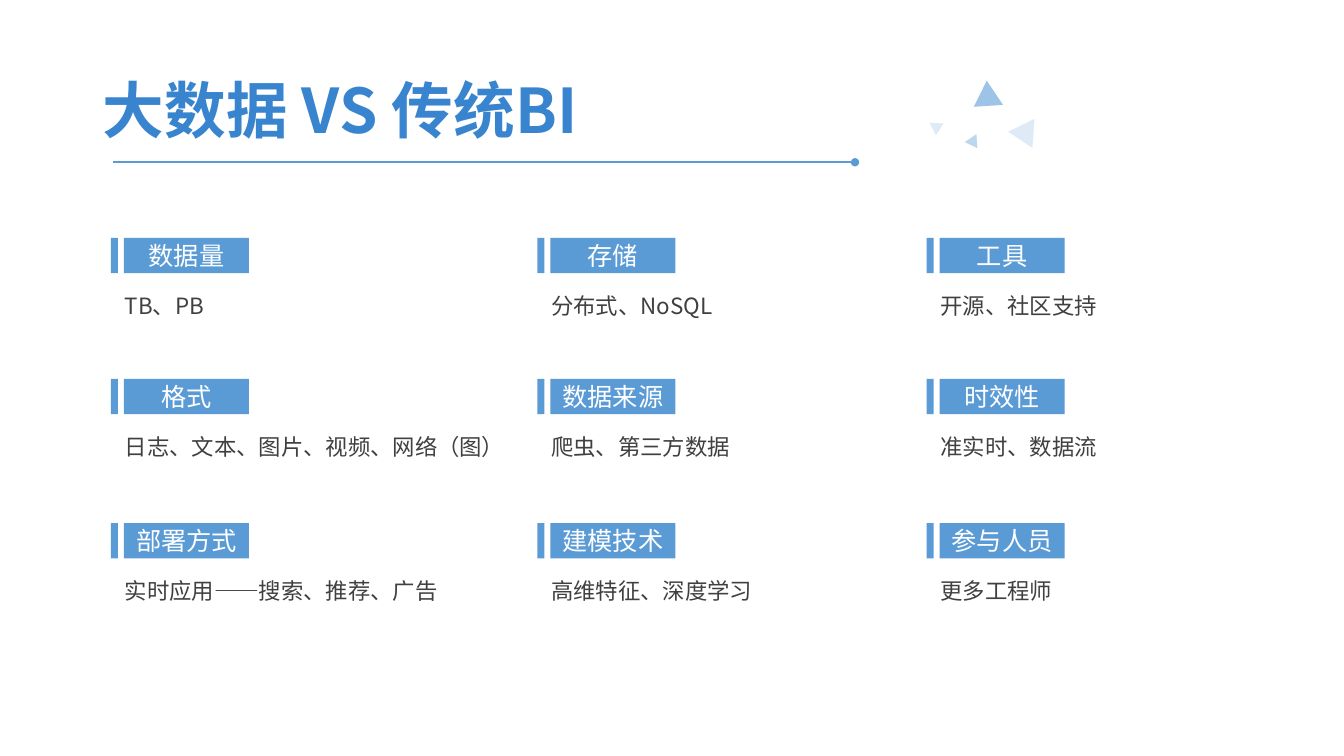
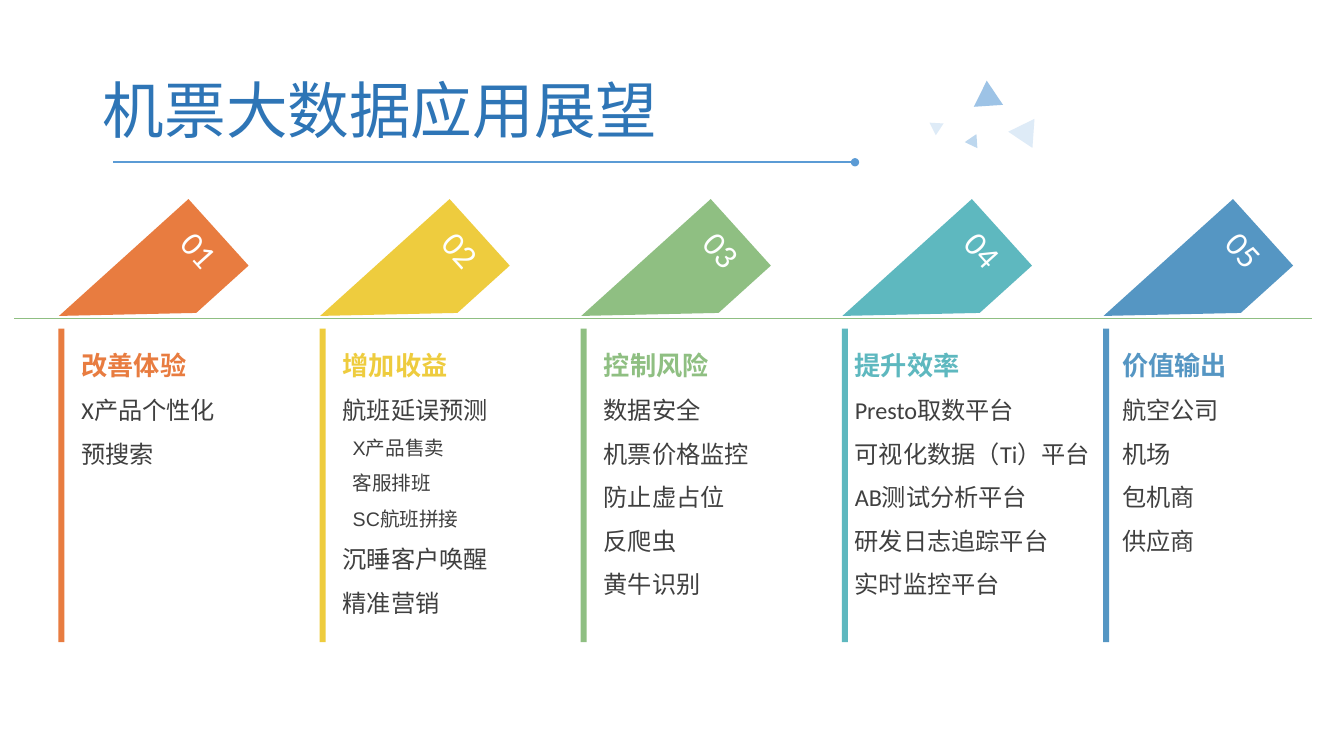
from lxml.etree import SubElement
from pptx import Presentation
from pptx.dml.color import RGBColor
from pptx.enum.shapes import MSO_CONNECTOR, MSO_SHAPE
from pptx.enum.text import MSO_ANCHOR, MSO_AUTO_SIZE, PP_ALIGN
from pptx.oxml.ns import qn
from pptx.util import Inches, Pt

SLIDE_W, SLIDE_H = 13.33, 7.5
HAN_FONT, LATIN_FONT = "Noto Sans CJK SC", "Calibri"
BLUE, INK, WHITE = "5B9BD5", "404040", "FFFFFF"
RULE_GREEN = "8FBF82"

# Decorative triangles: left, top, width, height, rotation, colour
TRIANGLES = [
    (10.04, 1.23, 0.29, 0.25, 153.9, "DEEBF7"),
    (9.65, 0.8, 0.29, 0.25, 356.2, "9DC3E6"),
    (9.2, 1.19, 0.14, 0.12, 303.5, "DEEBF7"),
    (9.59, 1.36, 0.14, 0.12, 145.8, "BDD7EE"),
]

# Comparison grid: column left and width, row tops, topics row by row
COLUMNS = [(1.1, 4.14), (5.33, 3.4), (9.19, 3.4)]
ROWS = [2.36, 3.76, 5.19]
TOPICS = [
    [("数据量", "TB、PB"), ("存储", "分布式、NoSQL"), ("工具", "开源、社区支持")],
    [("格式", "日志、文本、图片、视频、网络（图）"), ("数据来源", "爬虫、第三方数据"),
     ("时效性", "准实时、数据流")],
    [("部署方式", "实时应用——搜索、推荐、广告"), ("建模技术", "高维特征、深度学习"),
     ("参与人员", "更多工程师")],
]

# Outlook pillars: colour, text offset, text width, body font, heading,
# items as (level, text)
PILLAR_LEFT, PILLAR_PITCH, PILLAR_TOP, PILLAR_H = 0.58, 2.59, 3.26, 3.11
PILLARS = [
    ("E87C40", 0.13, 2.11, LATIN_FONT, "改善体验", [(0, "X产品个性化"), (0, "预搜索")]),
    ("EECC3E", 0.13, 2.11, "Arial", "增加收益",
     [(0, "航班延误预测"), (1, "X产品售卖"), (1, "客服排班"), (1, "SC航班拼接"),
      (0, "沉睡客户唤醒"), (0, "精准营销")]),
    (RULE_GREEN, 0.13, 2.11, LATIN_FONT, "控制风险",
     [(0, "数据安全"), (0, "机票价格监控"), (0, "防止虚占位"), (0, "反爬虫"),
      (0, "黄牛识别")]),
    ("5EB8BF", 0.03, 2.76, LATIN_FONT, "提升效率",
     [(0, "Presto取数平台"), (0, "可视化数据（Ti）平台"), (0, "AB测试分析平台"),
      (0, "研发日志追踪平台"), (0, "实时监控平台")]),
    ("5596C3", 0.09, 2.11, LATIN_FONT, "价值输出",
     [(0, "航空公司"), (0, "机场"), (0, "包机商"), (0, "供应商")]),
]
FLAG_OUTLINE = [(0, 0), (0.89, 0), (0.89, 0.7), (0, 1.73)]


def rgb(hex_colour):
    return RGBColor.from_string(hex_colour)


def inches(*lengths):
    return [Inches(length) for length in lengths]


def add_run(paragraph, text, size, colour, font=HAN_FONT, bold=False):
    run = paragraph.add_run()
    run.text = text
    run.font.size, run.font.bold, run.font.name = Pt(size), bold, font
    run.font.color.rgb = rgb(colour)
    SubElement(run.font._element, qn("a:ea"), typeface=HAN_FONT)


def paint(shape, colour):
    shape.shadow.inherit = False
    shape.fill.solid()
    shape.fill.fore_color.rgb = rgb(colour)
    shape.line.fill.background()
    return shape


def add_block(slide, kind, box, colour):
    return paint(slide.shapes.add_shape(kind, *inches(*box)), colour)


def add_text_frame(slide, box):
    frame = slide.shapes.add_textbox(*inches(*box)).text_frame
    frame.word_wrap = True
    return frame


def add_rule(slide, start, end, y, colour, width, dot=False):
    rule = slide.shapes.add_connector(MSO_CONNECTOR.STRAIGHT, *inches(start, y, end, y))
    rule.line.color.rgb = rgb(colour)
    rule.line.width = Pt(width)
    if dot:
        SubElement(rule.line._get_or_add_ln(), qn("a:headEnd"), type="oval")
    SubElement(rule._element.spPr, qn("a:effectLst"))


def add_titled_slide(deck, title, colour, bold=False):
    """Slide with the shared title, underline and triangles."""
    slide = deck.slides.add_slide(deck.slide_layouts[5])
    add_rule(slide, 8.48, 1.12, 1.61, BLUE, 1.5, dot=True)
    for *box, rotation, tint in TRIANGLES:
        add_block(slide, MSO_SHAPE.ISOSCELES_TRIANGLE, box, tint).rotation = rotation
    heading = slide.shapes.title
    heading.left, heading.top, heading.width, heading.height = inches(0.92, 0.4, 11.5, 1.45)
    frame = heading.text_frame
    frame.auto_size, frame.vertical_anchor = MSO_AUTO_SIZE.NONE, MSO_ANCHOR.MIDDLE
    paragraph = frame.paragraphs[0]
    paragraph.alignment, paragraph.line_spacing = PP_ALIGN.LEFT, 0.9
    add_run(paragraph, title, 44, colour, bold=bold)
    return slide


def add_topic(slide, left, top, width, label, detail):
    """Accent bar, filled label and a line of detail below."""
    add_block(slide, MSO_SHAPE.RECTANGLE, (left, top, 0.07, 0.35), BLUE)
    tag = add_block(slide, MSO_SHAPE.RECTANGLE, (left + 0.13, top, 1.24, 0.35), BLUE)
    frame = tag.text_frame
    frame.margin_left = frame.margin_right = frame.margin_top = frame.margin_bottom = 0
    frame.vertical_anchor = MSO_ANCHOR.MIDDLE
    frame.paragraphs[0].alignment = PP_ALIGN.CENTER
    add_run(frame.paragraphs[0], label, 18, WHITE)
    detail_frame = add_text_frame(slide, (left + 0.04, top + 0.49, width, 0.76))
    add_run(detail_frame.paragraphs[0], detail, 16, INK)


def add_flag(slide, left, top, number, colour):
    """Tilted, numbered flag above a pillar."""
    corners = [tuple(inches(left + x, top + y)) for x, y in FLAG_OUTLINE]
    builder = slide.shapes.build_freeform(*corners[0])
    builder.add_line_segments(corners[1:], close=True)
    flag = paint(builder.convert_to_shape(), colour)
    flag.rotation = 47.9
    frame = flag.text_frame
    frame.vertical_anchor = MSO_ANCHOR.TOP
    frame.paragraphs[0].alignment = PP_ALIGN.CENTER
    add_run(frame.paragraphs[0], f"{number:02}", 24, "FEFFFF", LATIN_FONT)


def add_pillar(slide, left, top, height, number, pillar):
    """Flag, vertical bar, and heading with its items."""
    colour, offset, width, font, heading, items = pillar
    add_flag(slide, left + 0.5, top - 1.24, number, colour)
    add_block(slide, MSO_SHAPE.RECTANGLE, (left, top, 0.06, height), colour)
    frame = add_text_frame(slide, (left + offset, top, width, height))
    paragraph = frame.paragraphs[0]
    paragraph.line_spacing = 1.5
    add_run(paragraph, heading, 18.7, colour, LATIN_FONT, bold=True)
    for level, item in items:
        paragraph = frame.add_paragraph()
        paragraph.line_spacing = 1.5
        if level:
            paragraph._p.get_or_add_pPr().set("marL", str(Inches(0.1)))
        add_run(paragraph, item, 14 if level else 17.3, INK, font)


def build_comparison(deck):
    slide = add_titled_slide(deck, "大数据 VS 传统BI", "3984CE", bold=True)
    for top, topics in zip(ROWS, TOPICS):
        for (left, width), (label, detail) in zip(COLUMNS, topics):
            add_topic(slide, left, top, width, label, detail)


def build_outlook(deck):
    slide = add_titled_slide(deck, "机票大数据应用展望", "2E75B6")
    add_rule(slide, 0.14, 13.01, 3.16, RULE_GREEN, 0.5)
    for index, pillar in enumerate(PILLARS):
        add_pillar(slide, PILLAR_LEFT + index * PILLAR_PITCH, PILLAR_TOP, PILLAR_H,
                   index + 1, pillar)


def main():
    deck = Presentation()
    deck.slide_width, deck.slide_height = inches(SLIDE_W, SLIDE_H)
    build_comparison(deck)
    build_outlook(deck)
    deck.save("out.pptx")


if __name__ == "__main__":
    main()
